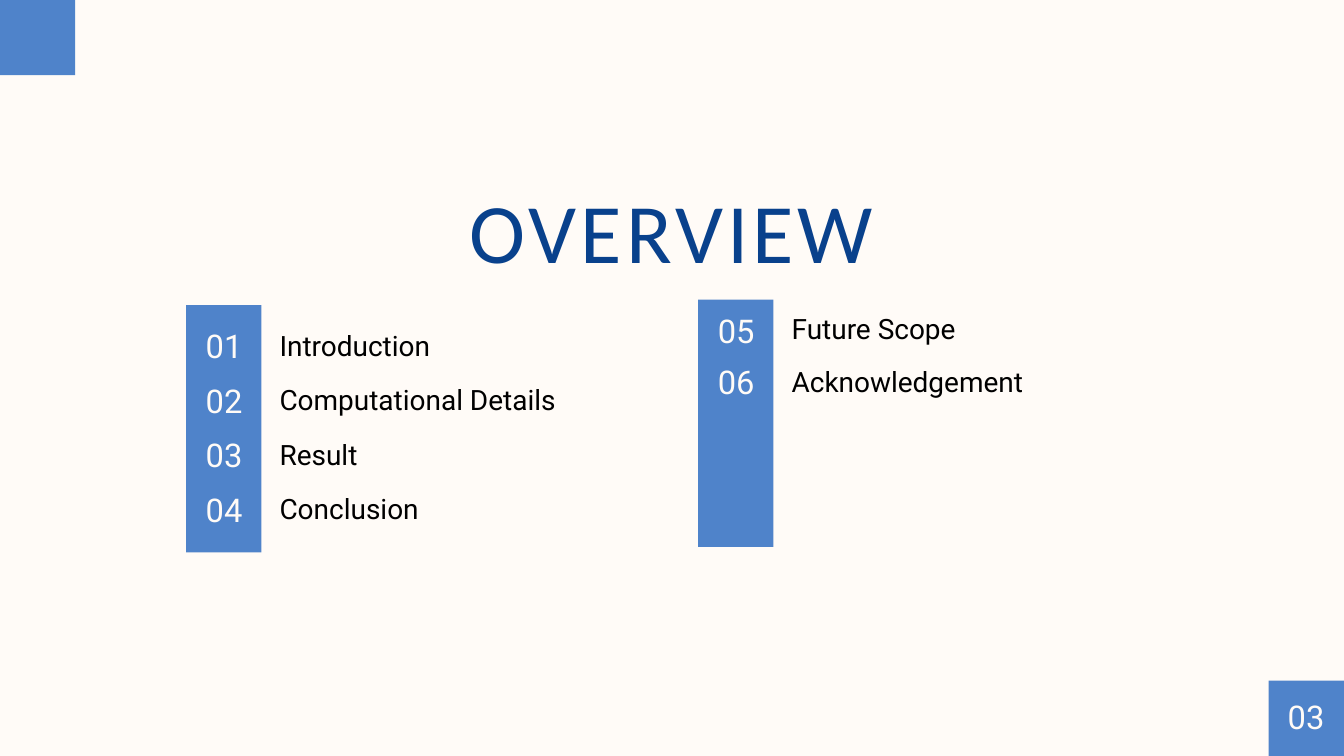
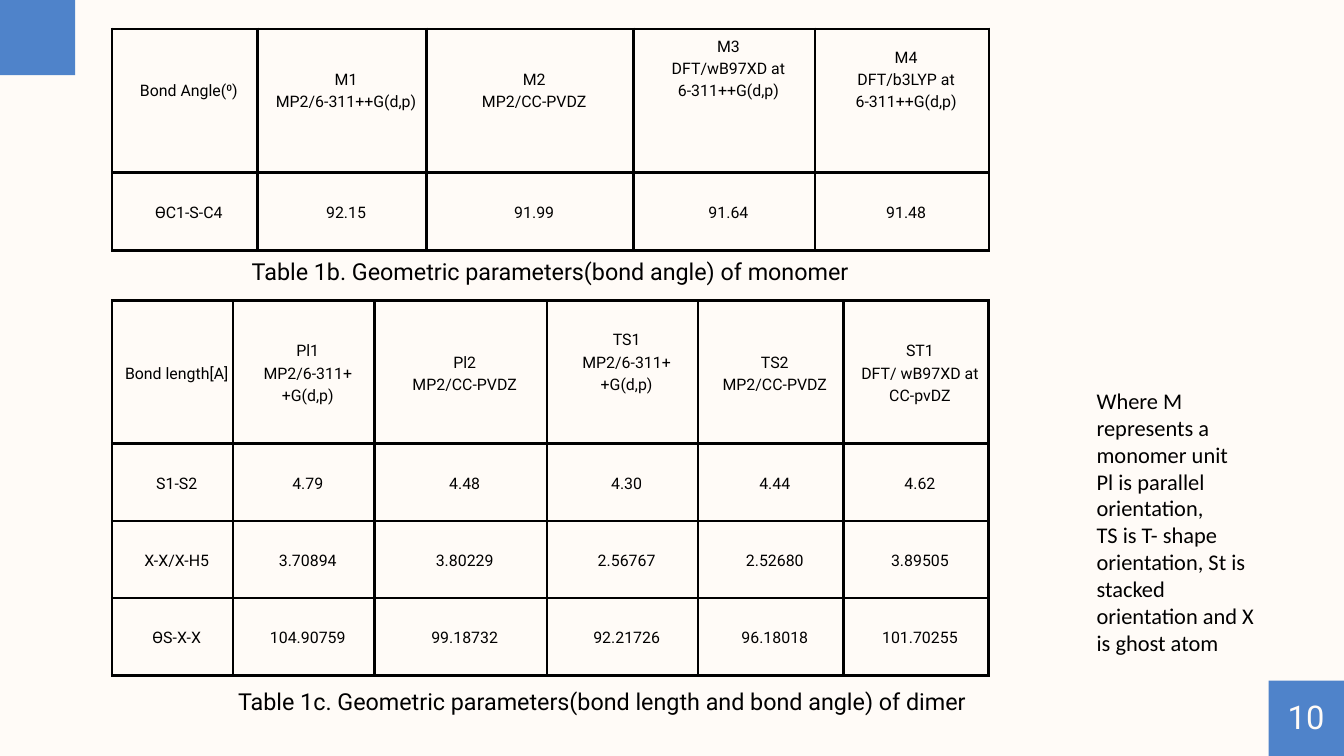
from lxml import etree
from pptx import Presentation
from pptx.dml.color import RGBColor
from pptx.enum.shapes import MSO_SHAPE as SHAPE
from pptx.enum.text import MSO_ANCHOR as ANCHOR, MSO_AUTO_SIZE as AUTO, PP_ALIGN as ALIGN
from pptx.oxml import parse_xml
from pptx.oxml.ns import nsdecls, qn
from pptx.util import Inches, Pt

CREAM = RGBColor(0xFF, 0xFB, 0xF7)
BLUE = RGBColor(0x15, 0x5C, 0xBB)
NAVY = RGBColor(0x09, 0x41, 0x8C)
BLACK = RGBColor(0, 0, 0)
SANS, TITLE_FONT = "Roboto", "Calibri"
BAR_W = 1.12
LINE = 23.8
TABLE_X = 1.67

ANGLES = [
    ["Bond Angle(⁰)", "M1\nMP2/6-311++G(d,p)", "M2\nMP2/CC-PVDZ",
     "M3\nDFT/wB97XD at\n6-311++G(d,p)", "M4\nDFT/b3LYP at\n6-311++G(d,p)"],
    ["ѲC1-S-C4", "92.15", "91.99", "91.64", "91.48"],
]
LENGTHS = [
    ["Bond length[A]", "Pl1\nMP2/6-311++G(d,p)", "Pl2\nMP2/CC-PVDZ",
     "TS1\nMP2/6-311++G(d,p)", "TS2\nMP2/CC-PVDZ", "ST1\nDFT/ wB97XD at\nCC-pvDZ"],
    ["S1-S2", "4.79", "4.48", "4.30", "4.44", "4.62"],
    ["X-X/X-H5", "3.70894", "3.80229", "2.56767", "2.52680", "3.89505"],
    ["ѲS-X-X", "104.90759", "99.18732", "92.21726", "96.18018", "101.70255"],
]
NOTE = ("Where M represents a monomer unit\nPl is parallel orientation,\n"
        "TS is T- shape orientation, St is stacked orientation and X is ghost atom")


def place(shape, x, y, w, h):
    """Move and size a shape, in inches."""
    shape.left, shape.top, shape.width, shape.height = map(Inches, (x, y, w, h))


def style_text(tf, size, color=BLACK, font=SANS, align=ALIGN.LEFT, line=None, gap=0):
    """Format every paragraph and run of a text frame."""
    for i, p in enumerate(tf.paragraphs):
        p.alignment = align
        p.space_before = Pt(gap if i else 0)
        if line:
            p.line_spacing = Pt(line)
        for r in p.runs:
            r.font.size, r.font.name, r.font.color.rgb = Pt(size), font, color


def clear_frame(tf):
    """Remove insets and set wrapping, top anchor and fixed size."""
    tf.margin_left = tf.margin_right = tf.margin_top = tf.margin_bottom = 0
    tf.word_wrap, tf.auto_size, tf.vertical_anchor = True, AUTO.NONE, ANCHOR.TOP


def add_label(s, text, x, y, w, h, size, color=BLACK):
    """Add a centred one-line text box."""
    tf = s.shapes.add_textbox(*map(Inches, (x, y, w, h))).text_frame
    clear_frame(tf)
    tf.text = text
    style_text(tf, size, color, align=ALIGN.CENTER, line=size)


def add_number(s, text, x, y):
    """Add a light two-digit number on a blue block."""
    add_label(s, text, x, y, 0.93, 0.5, 35, CREAM)


def add_block(s, x, y, h=BAR_W):
    """Add a translucent blue block."""
    sp = s.shapes.add_shape(SHAPE.RECTANGLE, *map(Inches, (x, y, BAR_W, h)))
    sp.shadow.inherit = False
    sp.line.fill.background()
    sp.fill.solid()
    sp.fill.fore_color.rgb = BLUE
    color = sp.fill._xPr.find(qn("a:solidFill"))[0]
    etree.SubElement(color, qn("a:alpha"), val="75000")


def add_corners(s, number):
    """Add the corner blocks and the page number."""
    add_block(s, 18.88, 10.13)
    add_block(s, 0, 0)
    add_number(s, number, 18.97, 10.47)


def add_title(s, text):
    """Fill the title placeholder."""
    title = s.shapes.title
    place(title, 5.35, 2.92, 9.29, 1.31)
    tf = title.text_frame
    clear_frame(tf)
    tf.text = text
    style_text(tf, 90.6, NAVY, TITLE_FONT, ALIGN.CENTER, 90.6)
    tf.paragraphs[0].runs[0]._r.get_or_add_rPr().set("spc", "450")


def add_agenda(s, body, items, first, x, bar_y, list_y, list_step, num_y, num_step):
    """Add a numbered bar beside a list in a body placeholder."""
    add_block(s, x, bar_y, 3.68)
    for i in range(len(items)):
        add_number(s, f"{first + i:02d}", x + 0.1, num_y + i * num_step)
    place(body, x + 1.39, list_y, 5.25, list_step * len(items))
    tf = body.text_frame
    clear_frame(tf)
    tf.text = "\n".join(items)
    for p in tf.paragraphs:
        pPr = p._p.get_or_add_pPr()
        pPr.set("marL", "0")
        pPr.set("indent", "0")
        etree.SubElement(pPr, qn("a:buNone"))
    style_text(tf, 30, line=30, gap=list_step * 72 - 30)


def add_borders(cell):
    """Draw a black line on each side of a cell."""
    tcPr = cell._tc.get_or_add_tcPr()
    for i, side in enumerate("LRTB"):
        tcPr.insert(i, parse_xml(
            f'<a:ln{side} {nsdecls("a")} w="{Pt(3)}"><a:solidFill>'
            f'<a:srgbClr val="{BLACK}"/></a:solidFill></a:ln{side}>'))


def add_grid(s, rows, y, widths, heights, lifts):
    """Add a bordered table; lifts raise header text by lines of bottom margin."""
    frame = s.shapes.add_table(len(rows), len(widths), Inches(TABLE_X), Inches(y),
                               Inches(sum(widths)), Inches(sum(heights)))
    table = frame.table
    table.first_row = table.horz_banding = False
    for col, w in zip(table.columns, widths):
        col.width = Inches(w)
    for row, h in zip(table.rows, heights):
        row.height = Inches(h)
    for i, texts in enumerate(rows):
        for j, text in enumerate(texts):
            cell = table.cell(i, j)
            cell.text = text
            cell.fill.background()
            cell.vertical_anchor = ANCHOR.MIDDLE
            cell.margin_left = Inches(0.16)
            cell.margin_right = cell.margin_top = Inches(0.04)
            lift = lifts[j] if i == 0 else 0
            cell.margin_bottom = Inches(0.04) + Pt(LINE * lift)
            style_text(cell.text_frame, 17, align=ALIGN.CENTER, line=LINE)
            add_borders(cell)


def add_note(s, text):
    """Add the explanatory note beside the tables."""
    tf = s.shapes.add_textbox(*map(Inches, (16.22, 5.71, 2.75, 4.14))).text_frame
    tf.word_wrap = True
    tf.text = text
    style_text(tf, 24, font=TITLE_FONT)


def build_overview(prs):
    """Build the overview slide."""
    s = prs.slides.add_slide(prs.slide_layouts[3])
    add_title(s, "OVERVIEW")
    left, right = s.placeholders[1], s.placeholders[2]
    add_agenda(s, left, ["Introduction", "Computational Details", "Result", "Conclusion"],
               1, 2.77, 4.54, 4.97, 0.81, 4.95, 0.81)
    add_agenda(s, right, ["Future Scope", "Acknowledgement"],
               5, 10.39, 4.46, 4.72, 0.79, 4.73, 0.75)
    add_corners(s, "03")


def build_tables(prs):
    """Build the geometric parameters slide."""
    s = prs.slides.add_slide(prs.slide_layouts[6])
    add_corners(s, "10")
    add_grid(s, ANGLES, 0.43, [2.16, 2.52, 3.08, 2.7, 2.59], [2.14, 1.16], [1, 1, 1, 3, 2])
    add_label(s, "Table 1b. Geometric parameters(bond angle) of monomer",
              -0.69, 3.9, 17.75, 0.36, 25)
    add_grid(s, LENGTHS, 4.47, [1.8, 2.1, 2.57, 2.25, 2.16, 2.16],
             [2.13] + [1.15] * 3, [0, 0, 0, 1, 0, 0])
    add_label(s, "Table 1c. Geometric parameters(bond length and bond angle) of dimer",
              0.08, 10.29, 17.75, 0.36, 25)
    add_note(s, NOTE)


def main():
    """Create and save the presentation."""
    prs = Presentation()
    prs.slide_width, prs.slide_height = Inches(20), Inches(11.25)
    fill = prs.slide_master.background.fill
    fill.solid()
    fill.fore_color.rgb = CREAM
    build_overview(prs)
    build_tables(prs)
    prs.save("out.pptx")


if __name__ == "__main__":
    main()
